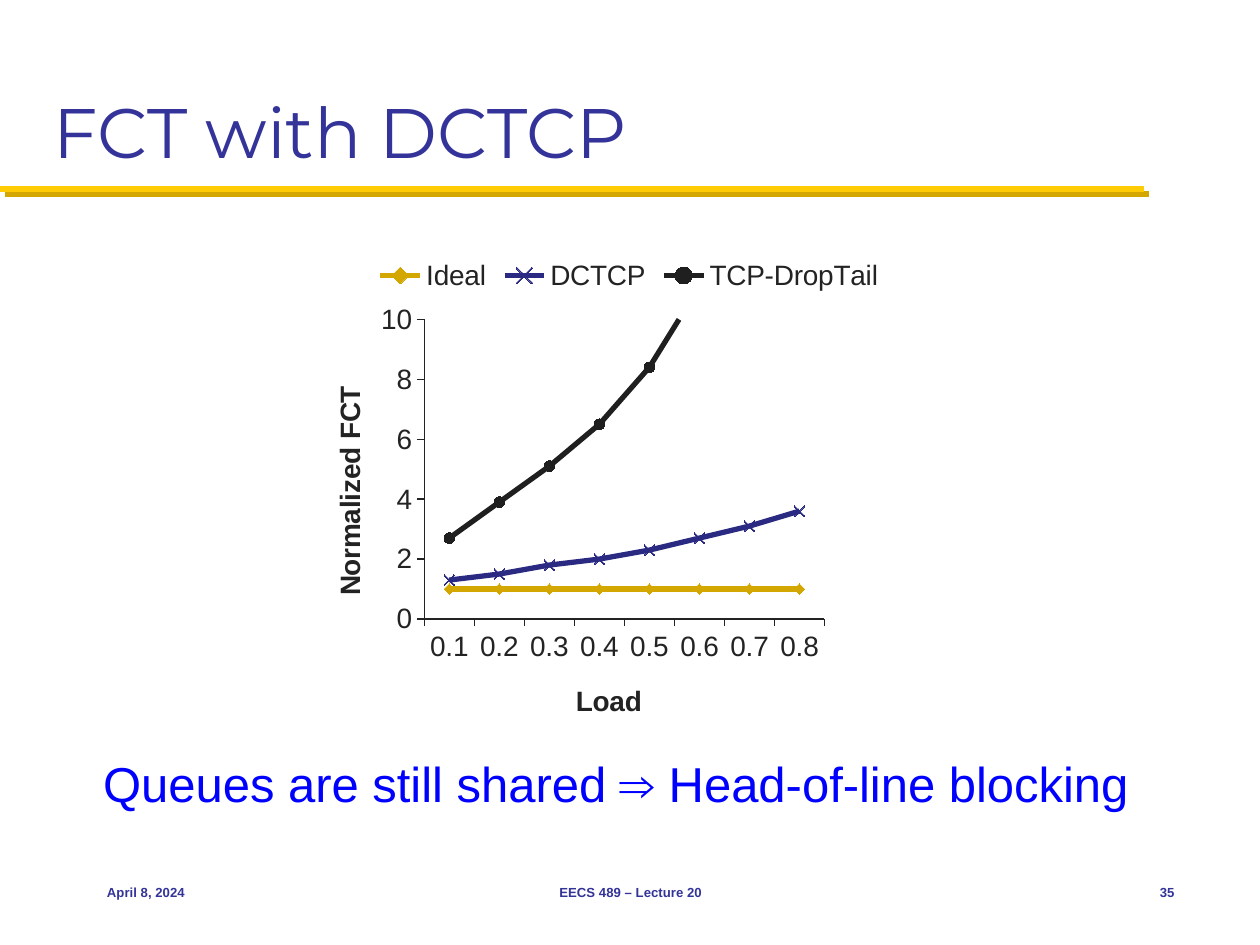
"""Build the slide on flow completion time with DCTCP."""
from lxml.etree import SubElement
from pptx import Presentation
from pptx.chart.data import CategoryChartData as Data
from pptx.dml.color import RGBColor
from pptx.enum.chart import XL_CHART_TYPE as Kind, XL_LEGEND_POSITION as Place
from pptx.enum.chart import XL_MARKER_STYLE as Mark, XL_TICK_MARK as Tick
from pptx.enum.shapes import MSO_CONNECTOR as Link
from pptx.enum.text import MSO_ANCHOR as Anchor, PP_ALIGN as Align
from pptx.oxml import parse_xml
from pptx.oxml.ns import nsdecls, qn
from pptx.util import Inches, Pt

INDIGO = RGBColor(0x33, 0x33, 0x99)
BLUE = RGBColor(0x00, 0x00, 0xFF)
MAIZE = RGBColor(0xFF, 0xCB, 0x05)
GOLD = RGBColor(0xD3, 0xA6, 0x00)
NAVY = RGBColor(0x2A, 0x2A, 0x82)
BLACK = RGBColor(0x1F, 0x1F, 0x1F)
INK = RGBColor(0x23, 0x23, 0x23)

TITLE = "FCT with DCTCP"
POINT = "Queues are still shared ⇒ Head-of-line blocking"
FOOT = [
    ("April 8, 2024", 0.75, 2.08, Align.LEFT),
    ("EECS 489 – Lecture 20", 3.42, 3.17, Align.CENTER),
    ("35", 8.75, 0.67, Align.RIGHT),
]
LOADS = ["0.1", "0.2", "0.3", "0.4", "0.5", "0.6", "0.7", "0.8"]
LINES = [
    ("Ideal", [1] * len(LOADS), GOLD, Mark.DIAMOND),
    ("DCTCP", [1.3, 1.5, 1.8, 2, 2.3, 2.7, 3.1, 3.6], NAVY, Mark.X),
    ("TCP-DropTail", [2.7, 3.9, 5.1, 6.5, 8.4, 11.1, 15.1, 20.4], BLACK, Mark.CIRCLE),
]


def write(slide, text, box, size, color, font="Arial", bold=False,
          align=Align.LEFT, anchor=Anchor.TOP, wrap=False):
    frame = slide.shapes.add_textbox(*map(Inches, box)).text_frame
    frame.word_wrap = wrap
    frame.vertical_anchor = anchor
    para = frame.paragraphs[0]
    para.alignment = align
    run = para.add_run()
    run.text = text
    run.font.name, run.font.size, run.font.bold = font, Pt(size), bold
    run.font.color.rgb = color


def draw_rule(slide):
    rule = slide.shapes.add_connector(
        Link.STRAIGHT, 0, Inches(1.5), Inches(9.08), Inches(1.5))
    rule.line.color.rgb = MAIZE
    rule.line.width = Pt(3.5)
    glow = SubElement(rule._element.spPr, qn("a:effectLst"))
    shade = SubElement(glow, qn("a:outerShdw"), dist=str(Pt(4.2)),
                       dir=str(45 * 60000), algn="ctr", rotWithShape="0")
    SubElement(shade, qn("a:srgbClr"), val=str(GOLD))


def set_layout(node, index, inner=False, **parts):
    for old in node.findall(qn("c:layout")):
        node.remove(old)
    names = ["xMode", "yMode"]
    rows = '<c:layoutTarget val="inner"/>' if inner else ""
    rows += "".join(f'<c:{name} val="edge"/>' for name in names)
    rows += "".join(f'<c:{name} val="{part}"/>' for name, part in parts.items())
    node.insert(index, parse_xml(
        f'<c:layout {nsdecls("c")}><c:manualLayout>{rows}</c:manualLayout></c:layout>'))


def style_axis(axis, text, x, y):
    axis.has_major_gridlines = False
    axis.major_tick_mark = Tick.OUTSIDE
    axis.minor_tick_mark = Tick.NONE
    axis.format.line.color.rgb = INK
    axis.format.line.width = Pt(0.75)
    title = axis.axis_title
    run = title.text_frame.paragraphs[0].add_run()
    run.text = text
    run.font.name, run.font.size, run.font.bold = "Arial", Pt(16), True
    run.font.color.rgb = INK
    set_layout(title._element, 1, x=x, y=y)


def draw_chart(slide):
    data = Data()
    data.categories = LOADS
    for name, vals, *_ in LINES:
        data.add_series(name, vals)
    box = map(Inches, (1.12, 1.95, 7.75, 3.9))
    chart = slide.shapes.add_chart(Kind.LINE_MARKERS, *box, data).chart
    chart.has_title = False
    chart.font.name, chart.font.size = "Arial", Pt(16)
    chart.font.color.rgb = INK
    chart.has_legend = True
    chart.legend.position = Place.TOP
    chart.legend.include_in_layout = False
    style_axis(chart.category_axis, "Load", 0.44, 0.88)
    style_axis(chart.value_axis, "Normalized FCT ", 0.19, 0.26)
    scale = chart.value_axis
    scale.minimum_scale, scale.maximum_scale, scale.major_unit = 0, 10, 2
    plot = chart.plots[0]
    plot.vary_by_categories = False
    for series, (_, _, color, mark) in zip(plot.series, LINES):
        series.smooth = False
        series.format.line.color.rgb = color
        series.format.line.width = Pt(3)
        dot = series.marker
        dot.style, dot.size = mark, 6
        dot.format.line.color.rgb = color
        if mark == Mark.X:
            dot.format.fill.background()
        else:
            dot.format.fill.solid()
            dot.format.fill.fore_color.rgb = color
    area = chart._chartSpace.chart.plotArea
    set_layout(area, 0, inner=True, x=0.29, y=0.15, w=0.41, h=0.61)


def main():
    deck = Presentation()
    deck.slide_width, deck.slide_height = Inches(10), Inches(7.5)
    slide = deck.slides.add_slide(deck.slide_layouts[6])
    draw_rule(slide)
    write(slide, TITLE, (0.33, 0.17, 9.33, 1.25), 40, INDIGO,
          font="Montserrat", anchor=Anchor.BOTTOM, wrap=True)
    draw_chart(slide)
    write(slide, POINT, (0.72, 5.93, 8.56, 0.57), 28, BLUE)
    for text, left, width, align in FOOT:
        write(slide, text, (left, 6.83, width, 0.5), 7.5, INDIGO,
              bold=True, align=align, anchor=Anchor.MIDDLE, wrap=True)
    deck.save("out.pptx")


if __name__ == "__main__":
    main()
